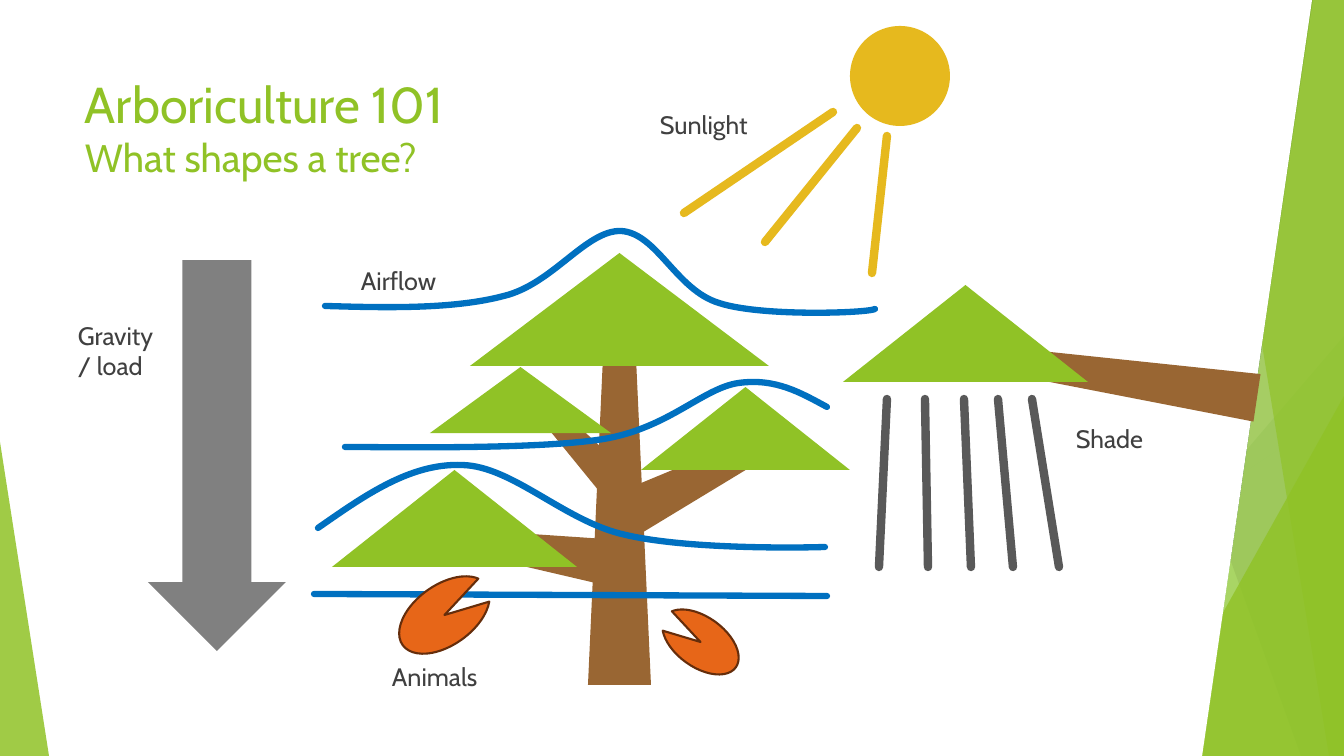
from dataclasses import dataclass
from typing import Any

from lxml import etree
from pptx import Presentation
from pptx import util as u
from pptx.dml.color import RGBColor
from pptx.enum import shapes, text
from pptx.oxml.ns import qn

PX = 914400 / 100.8
WIDTH, HEIGHT = 1344, 756
FONT = "Cabin"

WHITE = RGBColor(0xFF, 0xFF, 0xFF)
LEAF = RGBColor(0x90, 0xC2, 0x26)
MID_GREEN = RGBColor(0x54, 0xA0, 0x21)
DARK_GREEN = RGBColor(0x3F, 0x78, 0x19)
PALE_GREEN = RGBColor(0xC0, 0xE4, 0x74)
BARK = RGBColor(0x99, 0x66, 0x33)
SUN = RGBColor(0xE6, 0xB9, 0x1E)
SHADE = RGBColor(0x59, 0x59, 0x59)
GRAVITY = RGBColor(0x80, 0x80, 0x80)
AIR = RGBColor(0x00, 0x70, 0xC0)
ANIMAL = RGBColor(0xE7, 0x66, 0x18)
ANIMAL_EDGE = RGBColor(0x65, 0x2D, 0x0B)
INK = RGBColor(0x40, 0x40, 0x40)
GUIDE_DARK = RGBColor(0xBF, 0xBF, 0xBF)
GUIDE_LIGHT = RGBColor(0xD9, 0xD9, 0xD9)

KIND = shapes.MSO_SHAPE


def emu(pixels):
    return u.Emu(round(pixels * PX))


def style_fill(shape, color, opacity=100):
    shape.shadow.inherit = False
    shape.fill.solid()
    shape.fill.fore_color.rgb = color
    shape.line.fill.background()
    if opacity < 100:
        color_element = shape._element.spPr.find(qn("a:solidFill"))[0]
        etree.SubElement(color_element, qn("a:alpha"), val=str(opacity * 1000))


def style_line(shape, color, points, cap="flat"):
    shape.line.color.rgb = color
    shape.line.width = u.Pt(points)
    shape._element.spPr.find(qn("a:ln")).set("cap", cap)


@dataclass
class Region:
    """A box on the slide; all parts are placed in px from its top left corner."""
    slide: Any
    left: int
    top: int
    width: int
    height: int

    def shape(self, kind, box, color, rotation=0, adjustments=(), opacity=100):
        left, top, width, height = box
        shape = self.slide.shapes.add_shape(
            kind, emu(self.left + left), emu(self.top + top), emu(width), emu(height))
        style_fill(shape, color, opacity)
        shape.rotation = rotation
        for index, value in enumerate(adjustments):
            shape.adjustments[index] = value
        return shape

    def line(self, start, end, color, points, cap="rnd"):
        ends = [emu(value) for x, y in (start, end) for value in (self.left + x, self.top + y)]
        line = self.slide.shapes.add_connector(shapes.MSO_CONNECTOR.STRAIGHT, *ends)
        style_line(line, color, points, cap)
        etree.SubElement(line._element.spPr, qn("a:effectLst"))

    def outline(self, points, close):
        moved = [(self.left + x, self.top + y) for x, y in points]
        builder = self.slide.shapes.build_freeform(*moved[0], scale=PX)
        builder.add_line_segments(moved[1:], close=close)
        return builder.convert_to_shape()

    def curve(self, points, color, width):
        """Draw a start point followed by groups of three Bézier points."""
        shape = self.outline(points, close=False)
        steps = list(shape._element.iter(qn("a:lnTo")))
        for first in range(0, len(steps), 3):
            bezier = etree.Element(qn("a:cubicBezTo"))
            steps[first].addprevious(bezier)
            for step in steps[first:first + 3]:
                bezier.append(step[0])
                step.getparent().remove(step)
        shape.shadow.inherit = False
        shape.fill.background()
        style_line(shape, color, width, "rnd")

    def text_lines(self, box, lines, color, space_before=0):
        left, top, width, height = box
        frame = self.slide.shapes.add_textbox(
            emu(self.left + left), emu(self.top + top), emu(width), emu(height)).text_frame
        frame.word_wrap = True
        frame.vertical_anchor = text.MSO_ANCHOR.TOP
        paragraph = frame.paragraphs[0]
        paragraph.space_before = u.Pt(space_before)
        for index, (words, size) in enumerate(lines):
            if index:
                paragraph.add_line_break()
            run = paragraph.add_run()
            run.text = words
            run.font.name = FONT
            run.font.size = u.Pt(size)
            run.font.color.rgb = color

    def label(self, box, words):
        self.text_lines(box, [(words, 18)], INK, space_before=10)


def draw_backdrop(region):
    right, bottom = region.width, region.height

    def band(top_x, bottom_x, color, opacity):
        corners = [(top_x, 0), (right, 0), (right, bottom), (bottom_x, bottom)]
        style_fill(region.outline(corners, close=True), color, opacity)

    def wedge(left, top, width, color, opacity, apex):
        region.shape(KIND.ISOSCELES_TRIANGLE, (left, top, width, bottom - top), color,
                     adjustments=[apex], opacity=opacity)

    region.line((1033, 0), (1167, bottom), GUIDE_DARK, 0.75, "flat")
    region.line((right, 406), (818, bottom), GUIDE_LIGHT, 0.75, "flat")
    band(1238, 1012, LEAF, 30)
    band(1058, 1192, LEAF, 20)
    wedge(985, 336, 359, MID_GREEN, 72, 1)
    band(1029, 1301, DARK_GREEN, 70)
    band(1313, 1202, PALE_GREEN, 70)
    band(1206, 1329, LEAF, 65)
    wedge(1143, 396, 201, LEAF, 80, 1)
    wedge(0, 442, 49, LEAF, 85, 0)
    panel = region.shape(KIND.PARALLELOGRAM, (753, 0, 558, bottom), WHITE, adjustments=[0.197])
    style_line(panel, WHITE, 1.5)


def draw_title(region):
    region.text_lines((0, 0, region.width, region.height),
                      [("Arboriculture 101", 36), ("What shapes a tree?", 28)], LEAF)


def draw_tree(region):
    for *box, rotation in [(190, 226, 48, 148, 278.5), (327, 150, 50, 165, 63.1),
                           (222, 120, 34, 127, 317), (256, 88, 63, 344, 0)]:
        region.shape(KIND.TRAPEZOID, box, BARK, rotation)
    for box in [(98, 114, 181, 66), (309, 134, 209, 83), (0, 217, 245, 97), (138, 0, 299, 113)]:
        region.shape(KIND.ISOSCELES_TRIANGLE, box, LEAF)


def draw_sunlight(region):
    region.label((0, 78, 127, 65), "Sunlight")
    region.shape(KIND.OVAL, (region.width - 100, 0, 100, 100), SUN)
    for start, end in [((183, 86), (34, 187)), ((207, 102), (115, 216)), ((237, 110), (222, 247))]:
        region.line(start, end, SUN, 6)


def draw_shade(region):
    region.label((223, 178, 100, 65), "Shade")
    region.shape(KIND.TRAPEZOID, (254, 0, 48, 275), BARK, 278.5)
    region.shape(KIND.ISOSCELES_TRIANGLE, (0, 45, 245, 97), LEAF)
    for top_x, bottom_x in [(44, 36), (82, 85), (121, 128), (155, 170), (189, 216)]:
        region.line((top_x, 159), (bottom_x, region.height), SHADE, 6)


def draw_gravity(region):
    region.shape(KIND.DOWN_ARROW, (80, 0, 138, region.height), GRAVITY)
    region.label((0, 55, 110, 117), "Gravity / load")


def draw_airflow(region):
    streams = [
        [(4, 297), (50, 265), (96, 232), (148, 234), (199, 235), (251, 291), (312, 304),
         (372, 318), (480, 317), (511, 316)],
        [(11, 75), (76, 77), (141, 78), (190, 65), (239, 53), (272, -1), (307, 0),
         (343, 2), (362, 59), (405, 72), (447, 86), (555, 82), (561, 78)],
        [(513, 176), (487, 162), (462, 147), (425, 152), (389, 157), (355, 197), (290, 208),
         (224, 219), (66, 216), (31, 216)],
    ]
    for stream in streams:
        region.curve(stream, AIR, 4.5)
    region.line((0, 363), (513, 365), AIR, 4.5)
    region.label((37, 29, 119, 65), "Airflow")


def draw_animals(region):
    for box, rotation, flipped in [((11, 0, 103, 60), 324.2, False), ((275, 32, 87, 50), 35.8, True)]:
        animal = region.shape(KIND.PIE, box, ANIMAL, rotation, [11.494, 209.265])
        style_line(animal, ANIMAL_EDGE, 1.5)
        if flipped:
            animal._element.spPr.find(qn("a:xfrm")).set("flipH", "1")
    region.label((0, 71, 174, 65), "Animals")


def main():
    presentation = Presentation()
    presentation.slide_width, presentation.slide_height = emu(WIDTH), emu(HEIGHT)
    slide = presentation.slides.add_slide(presentation.slide_layouts[6])
    draw_backdrop(Region(slide, 0, 0, WIDTH, HEIGHT))
    draw_title(Region(slide, 75, 68, 948, 145))
    draw_tree(Region(slide, 332, 253, 518, 432))
    draw_sunlight(Region(slide, 650, 26, 300, 247))
    draw_shade(Region(slide, 843, 240, 416, 327))
    draw_gravity(Region(slide, 68, 260, 218, 391))
    draw_airflow(Region(slide, 314, 231, 561, 365))
    draw_animals(Region(slide, 382, 585, 362, 136))
    presentation.save("out.pptx")


if __name__ == "__main__":
    main()
